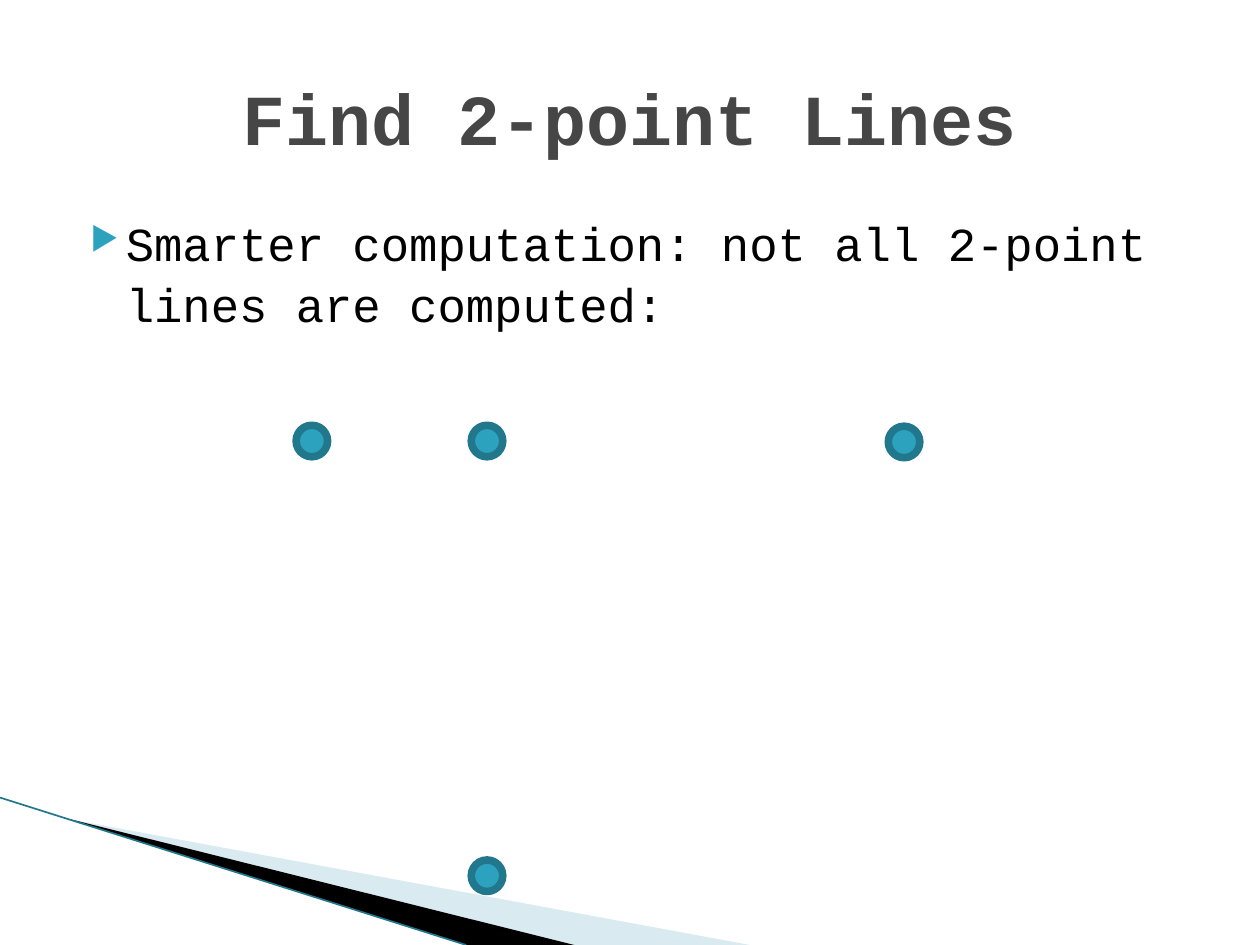
from lxml.etree import SubElement
from pptx import Presentation
from pptx.dml.color import RGBColor
from pptx.enum.shapes import MSO_CONNECTOR as Link, MSO_SHAPE as Shape
from pptx.enum.text import MSO_ANCHOR as Anchor, MSO_AUTO_SIZE as Fit, PP_ALIGN as Align
from pptx.oxml.ns import qn
from pptx.util import Inches, Pt

WIDTH, HEIGHT = Inches(10), Inches(7.5)
TEAL = RGBColor(0x2D, 0xA2, 0xBF)
DARK_TEAL = RGBColor(0x21, 0x78, 0x8D)
PALE_BLUE = RGBColor(0xA0, 0xCB, 0xDC)
BLACK = RGBColor(0, 0, 0)
GRAY = RGBColor(0x46, 0x46, 0x46)
FONT = "Courier New"
MARGIN = 0.05
DOT_SIZE = Inches(0.25)
DOTS = [(0.235, 0.45), (0.374, 0.45), (0.705, 0.451), (0.374, 0.91)]
WEDGES = [
    ([(0.055, 0.867), (0.595, 1), (0.456, 1)], PALE_BLUE, 40),
    ([(0.053, 0.866), (0.456, 1), (0.37, 1)], BLACK, 100),
]


def place(x, y):
    """Turn shares of the slide into lengths."""
    return round(WIDTH * x), round(HEIGHT * y)


def apply(target, values):
    """Set every attribute named in a dict of format values."""
    for name, value in values.items():
        setattr(target, name, value)


def write(box, text, color, frame_format, para_format, font_format):
    """Fill a box with one formatted paragraph and return it."""
    frame = box.text_frame
    apply(frame, {"word_wrap": True, "auto_size": Fit.NONE, **frame_format})
    para = frame.paragraphs[0]
    apply(para, para_format)
    span = para.add_run()
    span.text = text
    apply(span.font, {"name": FONT, **font_format})
    span.font.color.rgb = color
    return para


def add_bullet(para, indent, hanging):
    """Give a paragraph a hanging teal triangle."""
    props = para._p.get_or_add_pPr()
    props.set("marL", str(Inches(indent)))
    props.set("indent", str(-Inches(hanging)))
    color = SubElement(props, qn("a:buClr"))
    SubElement(color, qn("a:srgbClr"), val=str(TEAL))
    SubElement(props, qn("a:buSzPct"), val="68000")
    SubElement(props, qn("a:buChar"), char="\u25b6")


def add_wedge(page, corners, color, opacity):
    """Draw a filled triangle at the foot of the slide."""
    start, *others = [place(*corner) for corner in corners]
    builder = page.shapes.build_freeform(*start)
    builder.add_line_segments(others)
    wedge = builder.convert_to_shape()
    wedge.shadow.inherit = False
    wedge.fill.solid()
    wedge.fill.fore_color.rgb = color
    wedge.line.fill.background()
    if opacity < 100:
        fill = wedge.fill._xPr.find(qn("a:solidFill"))
        SubElement(fill[0], qn("a:alpha"), val=str(opacity * 1000))


def add_edge(page, start, end):
    """Draw the thin line along the wedges."""
    edge = page.shapes.add_connector(Link.STRAIGHT, *place(*start), *place(*end))
    edge.line.color.rgb = DARK_TEAL
    edge.line.width = Pt(0.95)
    SubElement(edge._element.spPr, qn("a:effectLst"))


def add_title(page, text):
    """Place and format the title placeholder."""
    title = page.shapes.title
    title.left, title.top = place(MARGIN, 0.04)
    title.width, title.height = Inches(9), Inches(1.25)
    write(title, text, GRAY, {"vertical_anchor": Anchor.MIDDLE},
          {"alignment": Align.CENTER}, {"size": Pt(41), "bold": True})


def add_body(page, text):
    """Add the bulleted statement."""
    box = page.shapes.add_textbox(*place(MARGIN, 0.216), Inches(9), Inches(1.05))
    para = write(box, text, BLACK, {"vertical_anchor": Anchor.TOP},
                 {"space_before": Pt(4), "line_spacing": 1.07}, {"size": Pt(27)})
    add_bullet(para, 0.4, 0.28)


def add_dot(page, x, y):
    """Draw one point of the diagram."""
    dot = page.shapes.add_shape(Shape.FLOWCHART_CONNECTOR, *place(x, y), DOT_SIZE, DOT_SIZE)
    dot.shadow.inherit = False
    dot.fill.solid()
    dot.fill.fore_color.rgb = TEAL
    dot.line.color.rgb = DARK_TEAL
    dot.line.width = Pt(4.33)


def main():
    """Build and save the slide."""
    deck = Presentation()
    apply(deck, {"slide_width": WIDTH, "slide_height": HEIGHT})
    page = deck.slides.add_slide(deck.slide_layouts[5])
    for wedge in WEDGES:
        add_wedge(page, *wedge)
    add_edge(page, (0, 0.844), (0.37, 1))
    add_body(page, "Smarter computation: not all 2-point lines are computed:")
    add_title(page, "Find 2-point Lines")
    for dot in DOTS:
        add_dot(page, *dot)
    deck.save("out.pptx")


main()
